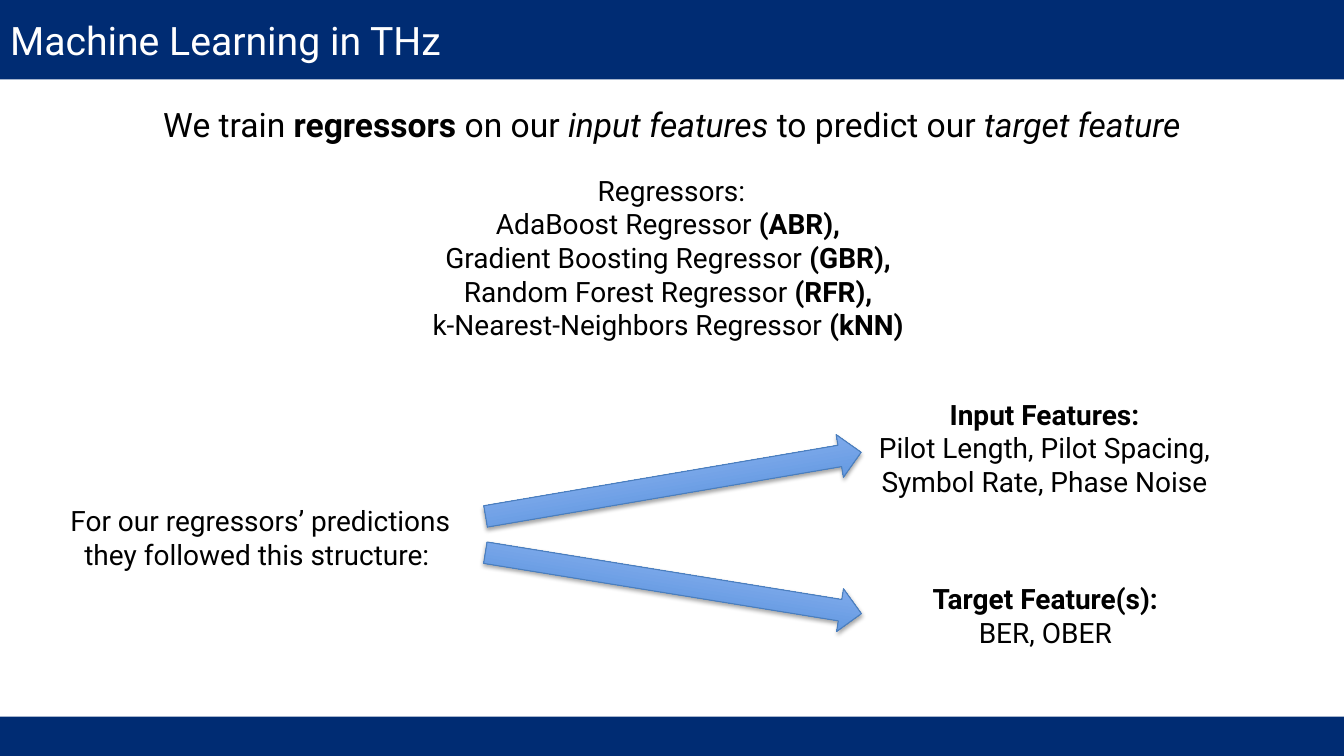
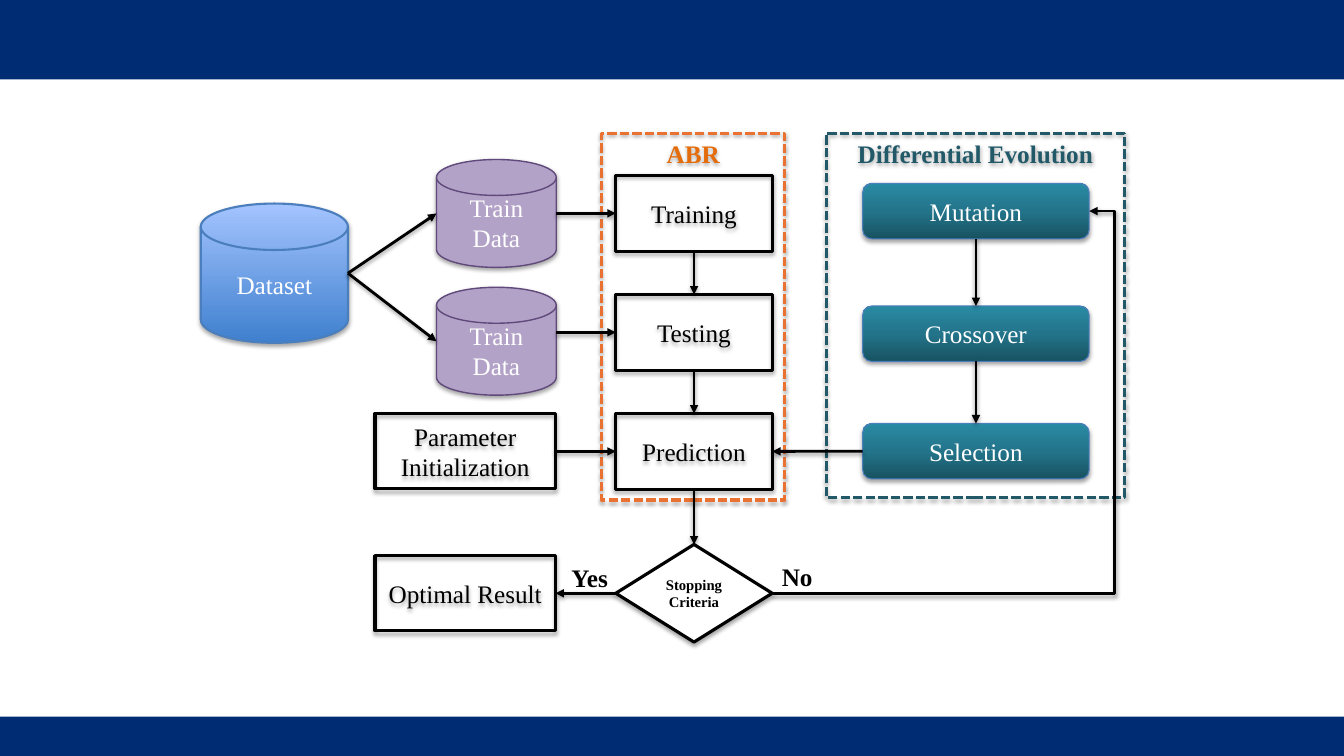
"""Builds two slides on machine learning in THz links."""
from dataclasses import dataclass

from pptx import Presentation
from pptx.dml.color import RGBColor
from pptx.enum.dml import MSO_LINE
from pptx.enum.shapes import MSO_CONNECTOR, MSO_SHAPE
from pptx.enum.text import MSO_ANCHOR, PP_ALIGN
from pptx.oxml import parse_xml
from pptx.oxml.ns import nsdecls, qn
from pptx.util import Cm, Pt

RECT = MSO_SHAPE.RECTANGLE
ROUND = MSO_SHAPE.ROUNDED_RECTANGLE
DISK = MSO_SHAPE.FLOWCHART_MAGNETIC_DISK
DIAMOND = MSO_SHAPE.FLOWCHART_DECISION
ARROW = MSO_SHAPE.RIGHT_ARROW
LINE = MSO_CONNECTOR.STRAIGHT
ELBOW = MSO_CONNECTOR.ELBOW
DASH = MSO_LINE.SQUARE_DOT
LEFT, CENTER = PP_ALIGN.LEFT, PP_ALIGN.CENTER
TOP, MIDDLE = MSO_ANCHOR.TOP, MSO_ANCHOR.MIDDLE


@dataclass(frozen=True)
class Theme:
    """Colours, fonts and sizes."""
    navy: str = "002C73"
    white: str = "FFFFFF"
    black: str = "000000"
    edge: str = "4B7EBC"
    lilac: str = "B3A2C7"
    plum: str = "604A7B"
    orange: str = "E97132"
    rust: str = "E46C0A"
    teal: str = "215968"
    blues: tuple = ((0, "3F80CE"), (100, "A4C4FF"))
    teals: tuple = ((0, "185261"), (50, "23748A"), (100, "298AA3"))
    sans: str = "Roboto"
    serif: str = "Times New Roman"
    title: float = 28
    lead: float = 24
    body: float = 20
    label: float = 18
    small: float = 10.5


T = Theme()


@dataclass(frozen=True)
class Look:
    """How a text is set."""
    size: float = T.label
    color: str = T.black
    font: str = T.serif
    bold: bool = False
    align: PP_ALIGN = CENTER
    anchor: MSO_ANCHOR = MIDDLE


@dataclass(frozen=True)
class Skin:
    """How a shape is painted."""
    fill: object = None
    line: str = T.black
    width: float = 2.25
    dash: object = None


BODY = Look(T.body, font=T.sans, anchor=TOP)
LEAD = Look(T.lead, font=T.sans, anchor=TOP)
HEAD = Look(T.title, T.white, T.sans, align=LEFT)
DARK = Look()
LIGHT = Look(color=T.white)
BOLD = Look(bold=True, anchor=TOP)
TINY = Look(T.small, bold=True)
BLUE = Skin(T.blues, T.edge, 0.75)
TEAL = Skin(T.teals, T.edge, 0.75)
LILAC = Skin(T.lilac, T.plum, 1)
PLAIN = Skin()


def rgb(code):
    """Turn a hex code into a colour."""
    return RGBColor.from_string(code)


def write(frame, lines, look):
    """Fill a text frame with lines of plain text or (text, style) runs."""
    frame.word_wrap = True
    frame.vertical_anchor = look.anchor
    for n, line in enumerate(lines):
        para = frame.paragraphs[0] if n == 0 else frame.add_paragraph()
        para.alignment = look.align
        for text, style in [(line, "")] if isinstance(line, str) else line:
            run = para.add_run()
            run.text = text
            font = run.font
            font.name, font.size = look.font, Pt(look.size)
            font.color.rgb = rgb(look.color)
            font.bold = look.bold or style == "b"
            font.italic = style == "i"


def label(slide, area, lines, look):
    """Add a text box."""
    box = slide.shapes.add_textbox(*map(Cm, area))
    write(box.text_frame, lines, look)


def shade(props, alpha, drop):
    """Add a soft shadow below a shape or line."""
    props.append(parse_xml(
        f'<a:effectLst {nsdecls("a")}><a:outerShdw blurRad="{Pt(3.1)}" '
        f'dist="{Pt(drop)}" dir="5400000" rotWithShape="0">'
        f'<a:srgbClr val="{T.black}"><a:alpha val="{alpha * 1000}"/>'
        '</a:srgbClr></a:outerShdw></a:effectLst>'))


def blend(shape, stops):
    """Fill a shape with a gradient that runs upwards."""
    shape.fill.gradient()
    shape.fill.gradient_angle = 90
    group = next(shape._element.spPr.iter(qn("a:gsLst")))
    for old in list(group):
        group.remove(old)
    for pos, code in stops:
        group.append(parse_xml(
            f'<a:gs {nsdecls("a")} pos="{pos * 1000}">'
            f'<a:srgbClr val="{code}"/></a:gs>'))


def block(slide, kind, area, skin, text="", look=DARK, turn=0):
    """Add a painted shape with a shadow and perhaps a text."""
    shape = slide.shapes.add_shape(kind, *map(Cm, area))
    shape.rotation = turn
    if skin.fill is None:
        shape.fill.background()
    elif isinstance(skin.fill, str):
        shape.fill.solid()
        shape.fill.fore_color.rgb = rgb(skin.fill)
    else:
        blend(shape, skin.fill)
    shape.line.color.rgb = rgb(skin.line)
    shape.line.width = Pt(skin.width)
    if skin.dash:
        shape.line.dash_style = skin.dash
    shade(shape._element.spPr, 35, 1.8)
    if text:
        write(shape.text_frame, [text], look)
    return shape


def spot(shape, side):
    """Give the middle of one side of a shape."""
    across, down = {"l": (0, 1), "r": (2, 1), "t": (1, 0), "b": (1, 2)}[side]
    return (shape.left + shape.width * across // 2,
            shape.top + shape.height * down // 2)


def link(slide, start, end, bend=None):
    """Add an arrow, with an elbow where a bend is given."""
    wire = slide.shapes.add_connector(ELBOW if bend else LINE, *start, *end)
    wire.line.color.rgb = rgb(T.black)
    wire.line.width = Pt(2)
    props = wire._element.spPr
    props.find(qn("a:ln")).append(
        parse_xml(f'<a:tailEnd {nsdecls("a")} type="triangle"/>'))
    shade(props, 38, 1.6)
    if bend:
        next(props.iter(qn("a:avLst"))).append(parse_xml(
            f'<a:gd {nsdecls("a")} name="adj1" '
            f'fmla="val {round(bend * 100000)}"/>'))


def chain(slide, shapes):
    """Link shapes from top to bottom."""
    for upper, lower in zip(shapes, shapes[1:]):
        link(slide, spot(upper, "b"), spot(lower, "t"))


def bands(deck, slide):
    """Put the top and bottom bands on the master."""
    tree = deck.slide_master.shapes._spTree
    for top, high in ((0, 2), (18.06, 0.99)):
        band = slide.shapes.add_shape(RECT, 0, Cm(top), deck.slide_width, Cm(high))
        band.fill.solid()
        band.fill.fore_color.rgb = rgb(T.navy)
        band.line.fill.background()
        band.shadow.inherit = False
        tree.insert(2, band._element)


def intro(slide):
    """Build the slide on regressors and features."""
    title = slide.shapes.title
    title.left, title.top, title.width, title.height = map(Cm, (0, 0, 22.2, 2.03))
    write(title.text_frame, ["Machine Learning in THz"], HEAD)
    label(slide, (2.06, 2.49, 29.74, 1.27), [[
        ("We train ", ""), ("regressors", "b"), (" on our ", ""),
        ("input features ", "i"), ("to predict our ", ""),
        ("target feature", "i")]], LEAD)
    names = (("AdaBoost", "(ABR), "), ("Gradient Boosting", "(GBR), "),
             ("Random Forest", "(RFR), "), ("k-Nearest-Neighbors", "(kNN) "))
    label(slide, (9.32, 4.24, 15.21, 4.52), ["Regressors:"] + [
        [(f"{name} Regressor ", ""), (short, "b")] for name, short in names], BODY)
    label(slide, (0.99, 12.57, 11.15, 1.96), [
        "For our regressors’ predictions they followed this structure: "], BODY)
    for area, head, text in (
            ((21.74, 9.88, 9.17, 2.82), "Input Features:",
             "Pilot Length, Pilot Spacing, Symbol Rate, Phase Noise"),
            ((22.89, 14.53, 6.91, 1.96), "Target Feature(s):", "BER, OBER")):
        label(slide, area, [[(head, "b")], text], BODY)
    for top, turn in ((14.15, 9.2), (11.66, 350.3)):
        block(slide, ARROW, (12.17, top, 9.6, 1.09), BLUE, turn=turn)


def flow(slide):
    """Build the flow chart of training and evolution."""
    for area, tone, text, ink in (
            ((15.16, 3.36, 4.62, 9.24), T.orange, "ABR", T.rust),
            ((20.82, 3.36, 7.52, 9.17), T.teal, "Differential Evolution", T.teal)):
        block(slide, RECT, area, Skin(line=tone, dash=DASH), text,
              Look(color=ink, bold=True, anchor=TOP))
    data = block(slide, DISK, (5.06, 5.13, 3.71, 3.51),
                 Skin(T.blues, T.edge, 1.5), "Dataset", LIGHT)
    disks = [block(slide, DISK, (11, top, 3.02, 2.72), LILAC, "Train Data", LIGHT)
             for top in (4.02, 7.24)]
    steps = [block(slide, RECT, (15.52, 4.42 + 3 * n, 3.94, 1.91), PLAIN, text)
             for n, text in enumerate(("Training", "Testing", "Prediction"))]
    setup, best = [
        block(slide, RECT, (9.45, top, 4.55, 1.9), PLAIN, text)
        for top, text in ((10.42, "Parameter Initialization"),
                          (14, "Optimal Result"))]
    stop = block(slide, DIAMOND, (15.52, 13.72, 3.94, 2.46),
                 Skin(T.white), "Stopping Criteria", TINY)
    stages = [block(slide, ROUND, (21.74, top, 5.71, 1.4), TEAL, text, LIGHT)
              for top, text in ((4.62, "Mutation"), (7.71, "Crossover"),
                                (10.67, "Selection"))]
    label(slide, (19.43, 14.01, 1.32, 1.02), ["No"], BOLD)
    label(slide, (14.1, 14.04, 1.52, 1.02), ["Yes"], BOLD)

    for disk in disks:
        link(slide, spot(data, "r"), spot(disk, "l"))
    for left, step in zip(disks + [setup], steps):
        end = spot(step, "l")
        link(slide, (spot(left, "r")[0], end[1]), end)
    chain(slide, steps + [stop])
    chain(slide, stages)
    link(slide, spot(stages[-1], "l"), spot(steps[-1], "r"))
    link(slide, spot(stop, "l"), spot(best, "r"))
    link(slide, spot(stop, "r"), spot(stages[0], "r"), 1.08)


def main():
    """Build and save the deck."""
    deck = Presentation()
    deck.slide_width, deck.slide_height = Cm(33.87), Cm(19.05)
    first = deck.slides.add_slide(deck.slide_layouts[5])
    bands(deck, first)
    intro(first)
    flow(deck.slides.add_slide(deck.slide_layouts[6]))
    deck.save("out.pptx")


if __name__ == "__main__":
    main()
